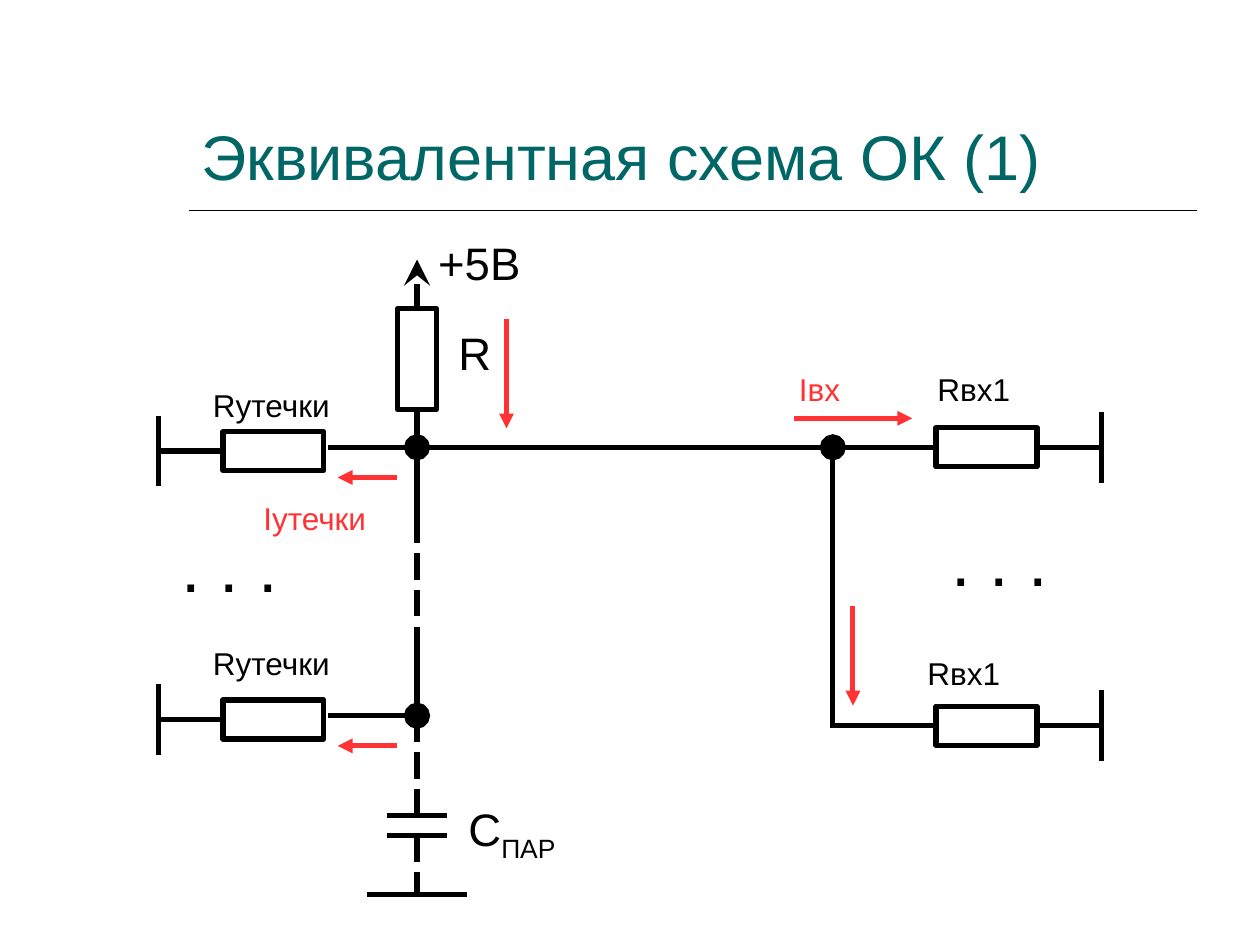
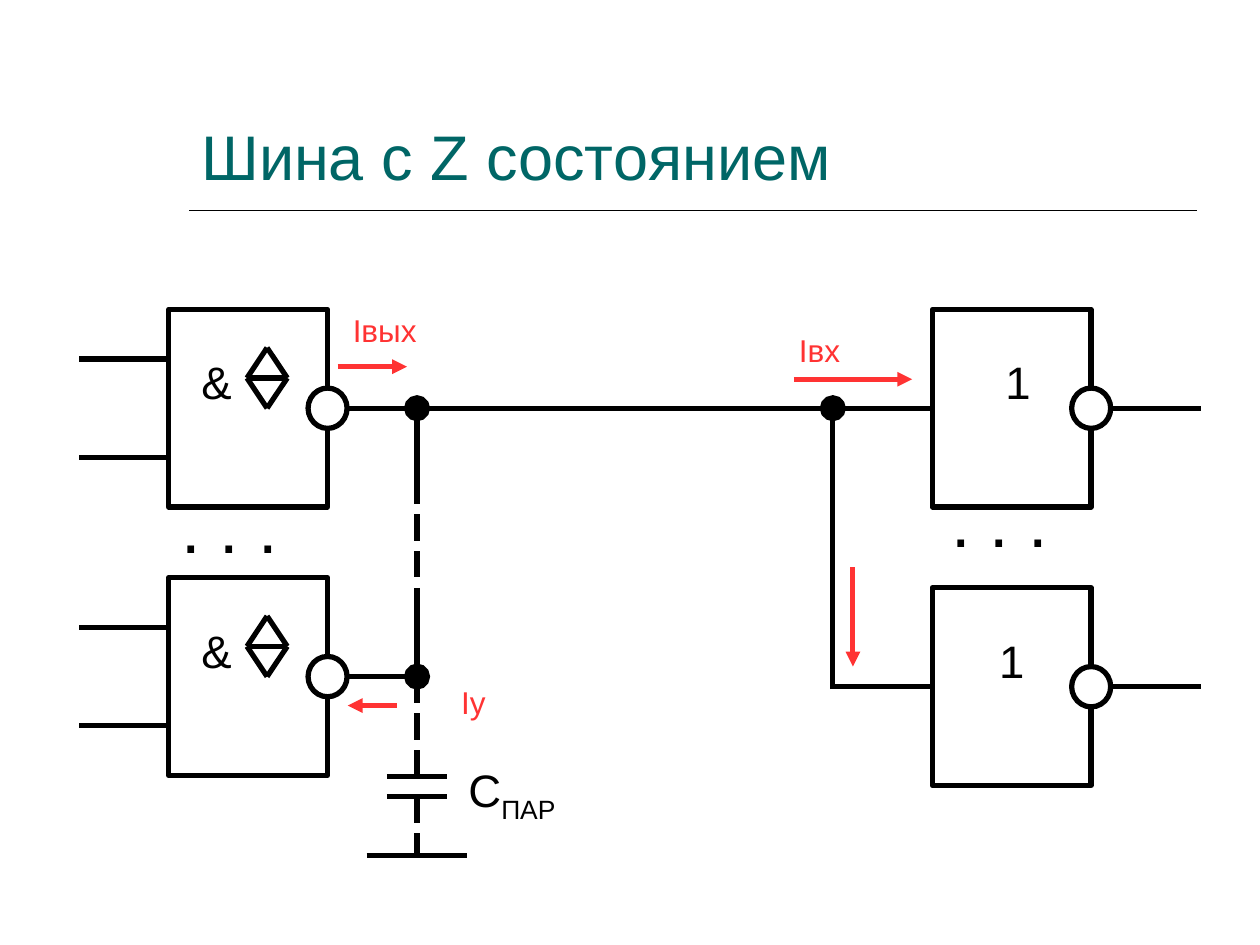
import dataclasses

import pptx
import pptx.dml.color
import pptx.enum.shapes
import pptx.enum.text
import pptx.oxml
import pptx.oxml.ns
import pptx.util

Inches = pptx.util.Inches
SHAPE = pptx.enum.shapes.MSO_SHAPE
ANCHOR = pptx.enum.text.MSO_ANCHOR
ALIGN = pptx.enum.text.PP_ALIGN


@dataclasses.dataclass(frozen=True)
class Theme:
    font: str = "Arial"
    title: str = "006666"
    ink: str = "000000"
    paper: str = "FFFFFF"
    current: str = "FF3333"
    title_size: int = 36
    dots_size: int = 40
    symbol_size: int = 26
    label_size: int = 18
    wire: float = 3
    arrow: float = 2.83
    rule: float = 1


T = Theme()
NODE_X = 3.31       # column of the bus nodes
LEFT_STEP = 2.13    # distance between the two left branches
RIGHT_STEP = 2.21   # distance between the two right branches
LEFT_TAP, RIGHT_NODE, RIGHT_TAP = -0.71, 3.3, 4.09
GATE_W, GATE_H = 1.26, 1.57
RES_LONG, RES_SHORT = 0.8, 0.31


def rgb(value):
    return pptx.dml.color.RGBColor.from_string(value)


def add_xml(parent, tag, **attrs):
    child = pptx.oxml.parse_xml(f'<a:{tag} {pptx.oxml.ns.nsdecls("a")}/>')
    for name, value in attrs.items():
        child.set(name, value)
    parent.append(child)
    return child


# ---- Primitives ----
def line(slide, x1, y1, x2, y2, color=T.ink, width=T.wire,
         head=None, tail=None, dashed=False, size="lg"):
    c = slide.shapes.add_connector(pptx.enum.shapes.MSO_CONNECTOR.STRAIGHT,
                                   *map(Inches, (x1, y1, x2, y2)))
    c.line.color.rgb = rgb(color)
    c.line.width = pptx.util.Pt(width)
    ln = c.line._get_or_add_ln()
    if dashed:
        add_xml(add_xml(ln, "custDash"), "ds", d="500000", sp="200000")
    for end, kind in (("headEnd", head), ("tailEnd", tail)):
        if kind:
            add_xml(ln, end, type=kind, w=size, len=size)
    add_xml(c._element.spPr, "effectLst")
    return c


def current_arrow(slide, x1, y1, x2, y2):
    line(slide, x1, y1, x2, y2, T.current, T.arrow, tail="triangle", size="med")


def add_run(p, text, size, color, subscript=False):
    r = p.add_run()
    r.text = text
    r.font.name, r.font.size = T.font, pptx.util.Pt(size)
    r.font.color.rgb = rgb(color)
    if subscript:
        r.font._element.set("baseline", "-25000")


def set_margins(tf, left, top, right, bottom):
    tf.margin_left, tf.margin_top = Inches(left), Inches(top)
    tf.margin_right, tf.margin_bottom = Inches(right), Inches(bottom)


def text_box(slide, x, y, w, h, text, size, color=T.ink, sub="",
             anchor=ANCHOR.TOP, inset=(0.1, 0.05)):
    tf = slide.shapes.add_textbox(*map(Inches, (x, y, w, h))).text_frame
    tf.word_wrap = True
    tf.vertical_anchor = anchor
    set_margins(tf, *inset, *inset)
    add_run(tf.paragraphs[0], text, size, color)
    if sub:
        add_run(tf.paragraphs[0], sub, size, color, subscript=True)


def symbol(slide, x, y, text, sub=""):
    text_box(slide, x, y, 1.26, 0.6, text, T.symbol_size, sub=sub)


def label(slide, x, y, text, color=T.ink):
    text_box(slide, x, y, 1.26, 0.52, text, T.label_size, color, inset=(0.12, 0.07))


def outlined(slide, kind, cx, cy, w, h):
    sp = slide.shapes.add_shape(
        kind, *map(Inches, (cx - w / 2, cy - h / 2, w, h)))
    sp.shadow.inherit = False
    sp.fill.solid()
    sp.fill.fore_color.rgb = rgb(T.paper)
    sp.line.color.rgb = rgb(T.ink)
    sp.line.width = pptx.util.Pt(T.wire)
    return sp


# ---- Title with its rule ----
def title_band(slide, x, y, w, h, text):
    line(slide, x, y + h + 0.09, x + w, y + h + 0.09, width=T.rule)
    text_box(slide, x, y, w, h, text, T.title_size, T.title, anchor=ANCHOR.BOTTOM)


# ---- Bus wiring; (x, y) is the first node ----
def bus(slide, x, y):
    """Draw the wiring and return the left and right taps, top to bottom."""
    left = [line(slide, x + LEFT_TAP, ty, x, ty, tail="oval")
            for ty in (y, y + LEFT_STEP)]
    right = [line(slide, x + start, y + dy, x + RIGHT_TAP, y + dy)
             for start, dy in ((0, 0), (RIGHT_NODE, RIGHT_STEP))]
    line(slide, x + RIGHT_NODE, y + RIGHT_STEP + 0.02, x + RIGHT_NODE, y, tail="oval")

    # Left column down to the parasitic capacitor and ground
    for top, bottom, dashed in ((0, 0.55, False), (0.55, 1.58, True),
                                (1.5, 2.05, False), (2.13, 2.92, True),
                                (3.08, 3.55, True)):
        line(slide, x, y + top, x, y + bottom, dashed=dashed)
    for half, dy in ((0.24, 2.92), (0.24, 3.08), (0.4, 3.55)):
        line(slide, x - half, y + dy, x + half, y + dy)
    symbol(slide, x + 0.31, y + 2.76, "C", sub="ПАР")

    # Omitted branches and input currents
    for dx, dy in ((-1.97, 0.55), (4.14, 0.5)):
        text_box(slide, x + dx, y + dy, 1.26, 0.77, ". . .", T.dots_size)
    current_arrow(slide, x + 2.99, y - 0.23, x + 3.93, y - 0.23)
    current_arrow(slide, x + 3.46, y + 1.26, x + 3.46, y + 2.05)
    label(slide, x + 2.91, y - 0.68, "Iвх", T.current)
    return left, right


# ---- Pull-up resistor above the node at (x, y) ----
def pull_up(slide, x, y):
    res = outlined(slide, SHAPE.RECTANGLE, x, y - 0.7, RES_SHORT, RES_LONG)
    supply = line(slide, x, y - 1.49, x, y - 1.1, head="stealth")
    supply.end_connect(res, 0)
    line(slide, x, y - 0.3, x, y).begin_connect(res, 2)
    symbol(slide, x + 0.07, y - 1.73, "+5В")
    symbol(slide, x + 0.23, y - 1.02, "R")
    current_arrow(slide, x + 0.71, y - 1.02, x + 0.71, y - 0.15)


# ---- Resistor centred on (cx, cy) with a lead to a bar at bar_x ----
def load(slide, cx, cy, bar_x):
    res = outlined(slide, SHAPE.RECTANGLE, cx, cy, RES_LONG, RES_SHORT)
    side, sign = (1, -1) if bar_x < cx else (3, 1)
    lead = line(slide, cx + sign * RES_LONG / 2, cy, bar_x, cy)
    lead.begin_connect(res, side)
    line(slide, bar_x, cy - 0.28, bar_x, cy + 0.28)
    return res


# ---- Gates: left edge x, middle line cy ----
def gate(slide, x, cy, text, shift):
    sp = outlined(slide, SHAPE.RECTANGLE, x + GATE_W / 2, cy, GATE_W, GATE_H)
    outlined(slide, SHAPE.OVAL, x + GATE_W, cy, 0.31, 0.32)
    tf = sp.text_frame
    tf.vertical_anchor = ANCHOR.MIDDLE
    set_margins(tf, 0.1 + max(2 * shift, 0), 0.05, 0.1 + max(-2 * shift, 0), 0.47)
    tf.paragraphs[0].alignment = ALIGN.CENTER
    add_run(tf.paragraphs[0], text, T.symbol_size, T.ink)
    return sp


def driver(slide, x, cy):
    sp = gate(slide, x, cy, "&", -0.25)
    for dy in (-0.39, 0.39):
        line(slide, x - 0.71, cy + dy, x, cy + dy)
    # Three-state mark: a rhombus with its horizontal diagonal
    mx, my = x + 0.78, cy - 0.24
    top, bottom = (mx, my - 0.24), (mx, my + 0.24)
    west, east = (mx - 0.16, my), (mx + 0.16, my)
    for a, b in ((top, east), (top, west), (east, bottom), (west, bottom), (west, east)):
        line(slide, *a, *b)
    return sp


def receiver(slide, x, cy, shift):
    sp = gate(slide, x, cy, "1", shift)
    line(slide, x + 1.42, cy, x + 2.13, cy)
    return sp


# ---- Slides ----
def equivalent_circuit(slide, x, y):
    left, right = bus(slide, x, y)
    pull_up(slide, x, y)
    for dy in (0, LEFT_STEP):
        load(slide, x - 1.14, y + dy + 0.03, x - 2.05)
        current_arrow(slide, x - 0.16, y + dy + 0.24, x - 0.63, y + dy + 0.24)
        label(slide, x - 1.74, y + dy - 0.6 + (0.04 if dy == 0 else -0.04), "Rутечки")
    for tap, dy, label_x, label_dy in zip(right, (0, RIGHT_STEP), (4.01, 3.93),
                                          (-0.68, -0.64)):
        tap.end_connect(load(slide, x + 4.52, y + dy, x + 5.43), 1)
        label(slide, x + label_x, y + dy + label_dy, "Rвх1")
    label(slide, x - 1.34, y + 0.34, "Iутечки", T.current)


def three_state_bus(slide, x, y):
    left, right = bus(slide, x, y)
    for tap, dy in zip(left, (0, LEFT_STEP)):
        tap.begin_connect(driver(slide, x + LEFT_TAP - GATE_W, y + dy), 3)
    for tap, dy, shift in zip(right, (0, RIGHT_STEP), (0.05, 0)):
        tap.end_connect(receiver(slide, x + RIGHT_TAP, y + dy, shift), 1)
    current_arrow(slide, x - 0.63, y - 0.33, x - 0.08, y - 0.33)
    current_arrow(slide, x - 0.16, y + 2.36, x - 0.55, y + 2.36)
    label(slide, x - 0.63, y - 0.84, "Iвых", T.current)
    label(slide, x + 0.23, y + 2.11, "Iу", T.current)


def main():
    prs = pptx.Presentation()
    prs.slide_width, prs.slide_height = Inches(10), Inches(7.5)
    for title, diagram, bus_y in (
            ("Эквивалентная схема ОК (1)", equivalent_circuit, 3.55),
            ("Шина с Z состоянием", three_state_bus, 3.24)):
        slide = prs.slides.add_slide(prs.slide_layouts[6])
        title_band(slide, 1.5, 0.33, 8, 1.25, title)
        diagram(slide, NODE_X, bus_y)
    prs.save("out.pptx")


if __name__ == "__main__":
    main()
